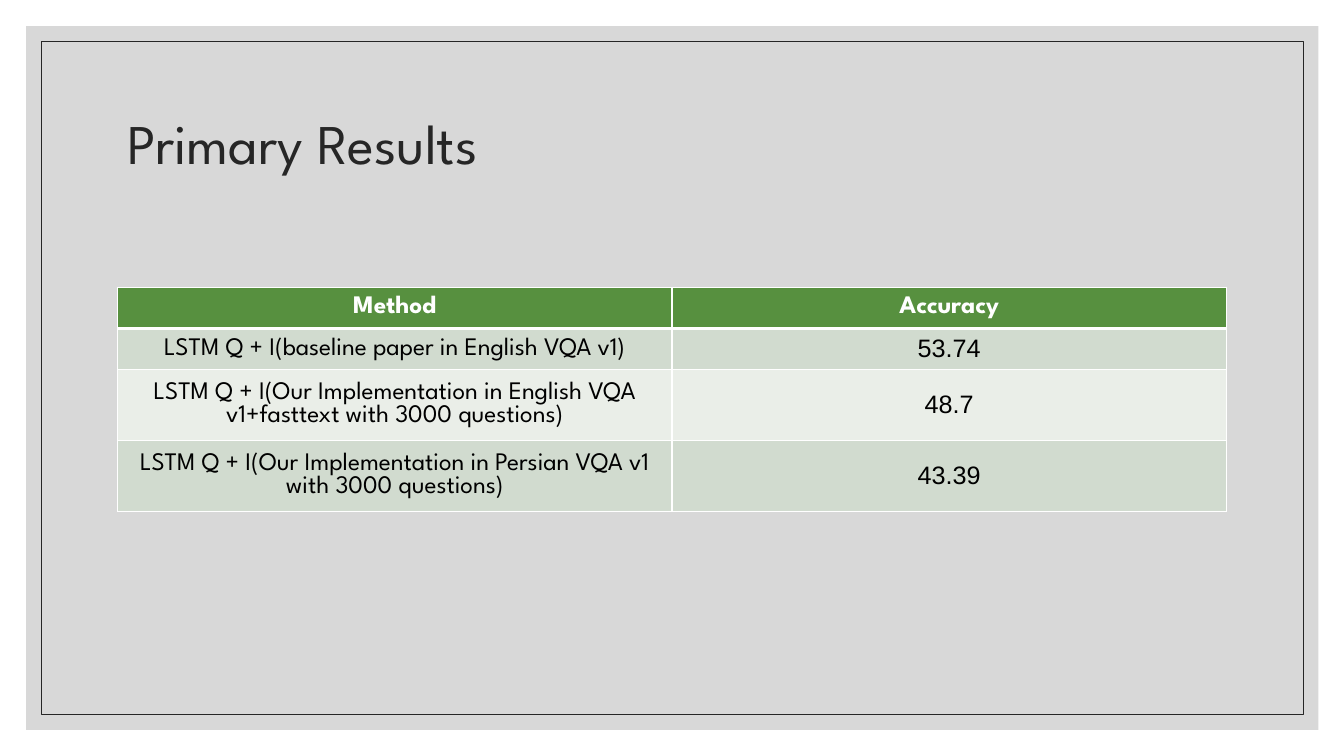
from lxml.etree import SubElement
from pptx import Presentation
from pptx.dml.color import RGBColor
from pptx.enum.shapes import MSO_SHAPE
from pptx.enum.text import MSO_ANCHOR, PP_ALIGN
from pptx.oxml.ns import qn
from pptx.util import Pt

WHITE = RGBColor(0xFF, 0xFF, 0xFF)
BLACK = RGBColor(0x00, 0x00, 0x00)
DARK = RGBColor(0x26, 0x26, 0x26)
GREY = RGBColor(0xBF, 0xBF, 0xBF)
GREEN = RGBColor(0x57, 0x90, 0x3F)
BANDS = [RGBColor(0xEA, 0xEE, 0xE8), RGBColor(0xD1, 0xDB, 0xCF)]
FONT = "League Spartan"
NUMBER_FONT = "Arial"

RESULTS = [
    ("Method", "Accuracy"),
    ("LSTM Q + I(baseline paper in English VQA v1)", "53.74"),
    ("LSTM Q + I(Our Implementation in English VQA v1+fasttext with 3000 questions)", "48.7"),
    ("LSTM Q + I(Our Implementation in Persian VQA v1 with 3000 questions)", "43.39"),
]
ROW_HEIGHTS = [29.52, 29.52, 40.4, 40.4]


def add_border(cell, side, width):
    """Draw a white line on one side (L, R, T or B) of a cell."""
    properties = cell._tc.get_or_add_tcPr()
    line = SubElement(properties, qn(f"a:ln{side}"), w=str(Pt(width)))
    fill = SubElement(line, qn("a:solidFill"))
    SubElement(fill, qn("a:srgbClr"), val=str(WHITE))


deck = Presentation()
deck.slide_width, deck.slide_height = Pt(960), Pt(540)
page = deck.slides.add_slide(deck.slide_layouts[6])
page.background.fill.solid()
page.background.fill.fore_color.rgb = WHITE

# Grey panel and thin frame
panel = page.shapes.add_shape(MSO_SHAPE.RECTANGLE, Pt(18.7), Pt(18.7), Pt(923), Pt(502.6))
panel.shadow.inherit = False
panel.fill.solid()
panel.fill.fore_color.rgb = GREY
panel_color = panel.element.spPr.find(".//" + qn("a:srgbClr"))
SubElement(panel_color, qn("a:alpha"), val="60000")
panel.line.fill.background()

frame = page.shapes.add_shape(MSO_SHAPE.RECTANGLE, Pt(29.5), Pt(29.5), Pt(901.4), Pt(481))
frame.shadow.inherit = False
frame.fill.background()
frame.line.color.rgb = DARK
frame.line.width = Pt(0.5)

# Title
title = page.shapes.add_textbox(Pt(84), Pt(50.4), Pt(792), Pt(108))
title.text_frame.word_wrap = True
title.text_frame.vertical_anchor = MSO_ANCHOR.MIDDLE
para = title.text_frame.paragraphs[0]
para.text = "Primary Results"
para.alignment = PP_ALIGN.LEFT
para.line_spacing = 0.9
para.font.name = FONT
para.font.size = Pt(40)
para.font.color.rgb = DARK

# Results table
table = page.shapes.add_table(
    len(RESULTS), 2, Pt(84), Pt(205.2), Pt(792), Pt(sum(ROW_HEIGHTS))
).table
for column in table.columns:
    column.width = Pt(396)
for row, height in zip(table.rows, ROW_HEIGHTS):
    row.height = Pt(height)

for row_number, texts in enumerate(RESULTS):
    is_header = row_number == 0
    for column_number, text in enumerate(texts):
        cell = table.cell(row_number, column_number)
        cell.vertical_anchor = MSO_ANCHOR.MIDDLE
        add_border(cell, "L", 1)
        add_border(cell, "R", 1)
        add_border(cell, "T", 3 if row_number == 1 else 1)
        add_border(cell, "B", 3 if is_header else 1)
        cell.fill.solid()
        cell.fill.fore_color.rgb = GREEN if is_header else BANDS[row_number % 2]

        para = cell.text_frame.paragraphs[0]
        para.text = text
        para.alignment = PP_ALIGN.CENTER
        para.font.name = NUMBER_FONT if column_number == 1 and not is_header else FONT
        para.font.size = Pt(18)
        para.font.bold = is_header
        para.font.color.rgb = WHITE if is_header else BLACK

deck.save("out.pptx")
